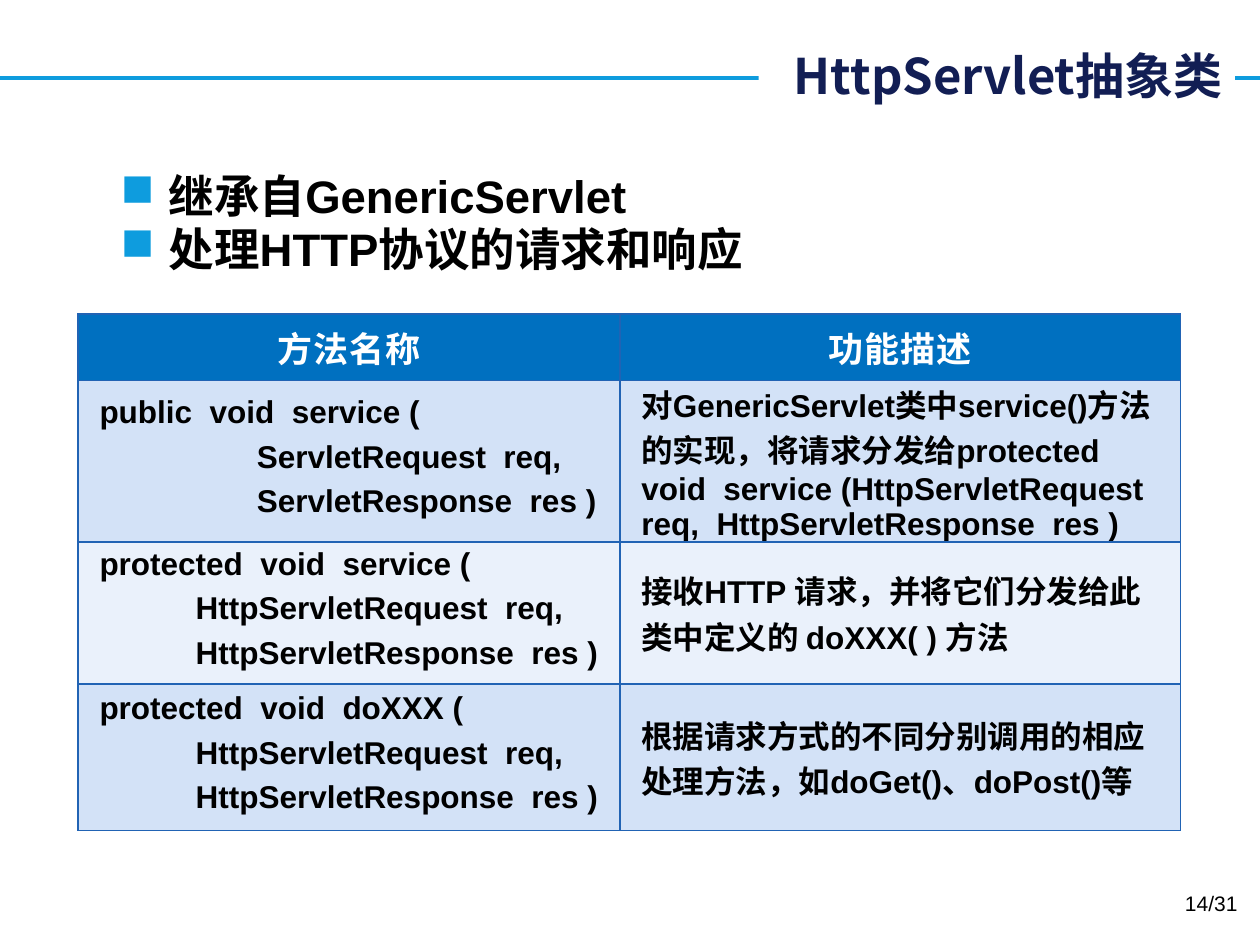
from pptx import Presentation
from pptx.dml.color import RGBColor
from pptx.enum.shapes import MSO_CONNECTOR, MSO_SHAPE
from pptx.enum.text import MSO_ANCHOR, PP_ALIGN
from pptx.oxml import parse_xml
from pptx.oxml.ns import nsdecls
from pptx.util import Inches, Pt

LINE = MSO_CONNECTOR.STRAIGHT
RECT = MSO_SHAPE.RECTANGLE
MIDDLE = MSO_ANCHOR.MIDDLE
LEFT, CENTER, RIGHT = PP_ALIGN.LEFT, PP_ALIGN.CENTER, PP_ALIGN.RIGHT

WHITE = RGBColor(0xFF, 0xFF, 0xFF)
BLACK = RGBColor(0x00, 0x00, 0x00)
NAVY = RGBColor(0x12, 0x1E, 0x54)
SKY = RGBColor(0x0E, 0x9C, 0xDE)
BLUE = RGBColor(0x00, 0x70, 0xC0)
EDGE = RGBColor(0x21, 0x63, 0xB4)
BANDS = RGBColor(0xD3, 0xE2, 0xF7), RGBColor(0xEA, 0xF1, 0xFB)

SANS = "Arial"
HAN = "Noto Sans CJK SC"

POINTS = ["继承自GenericServlet", "处理HTTP协议的请求和响应"]
HEADS = ["方法名称", "功能描述"]
METHODS = [
    (["public  void  service (",
      "                  ServletRequest  req,",
      "                  ServletResponse  res )"],
     "对GenericServlet类中service()方法的实现，将请求分发给protected  void  "
     "service (HttpServletRequest  req,  HttpServletResponse  res )"),
    (["protected  void  service (",
      "           HttpServletRequest  req,",
      "           HttpServletResponse  res )"],
     "接收HTTP 请求，并将它们分发给此类中定义的 doXXX( ) 方法"),
    (["protected  void  doXXX (",
      "           HttpServletRequest  req,",
      "           HttpServletResponse  res )"],
     "根据请求方式的不同分别调用的相应处理方法，如doGet()、doPost()等"),
]


def add_run(para, text, size, color, name=SANS, bold=True, track=0):
    """Add one run with Latin and East Asian fonts."""
    run = para.add_run()
    run.text = text
    font = run.font
    font.size, font.bold, font.name = Pt(size), bold, name
    font.color.rgb = color
    props = run._r.get_or_add_rPr()
    props.append(parse_xml(f'<a:ea {nsdecls("a")} typeface="{HAN}"/>'))
    if track:
        props.set("spc", str(track))


def get_para(frame, index):
    """Return the first paragraph or add a further one."""
    return frame.add_paragraph() if index else frame.paragraphs[0]


def add_title(slide, x, y, w, h):
    """Draw the rule across the slide and the title over it."""
    mid = Inches(0.62)
    rule = slide.shapes.add_connector(LINE, 0, mid, Inches(10), mid)
    rule.line.color.rgb = SKY
    rule.line.width = Pt(2.25)
    rule._element.spPr.append(parse_xml(f'<a:effectLst {nsdecls("a")}/>'))
    box = slide.shapes.add_shape(RECT, x, y, w, h)
    box.shadow.inherit = False
    box.fill.solid()
    box.fill.fore_color.rgb = WHITE
    box.line.fill.background()
    frame = box.text_frame
    frame.word_wrap = True
    frame.vertical_anchor = MIDDLE
    para = frame.paragraphs[0]
    para.alignment = RIGHT
    add_run(para, "HttpServlet抽象类", 28, NAVY, HAN)


def add_points(slide, x, y, w, h):
    """Write the bulleted points."""
    frame = slide.shapes.add_textbox(x, y, w, h).text_frame
    frame.word_wrap = True
    hang = Inches(0.38)
    for index, text in enumerate(POINTS):
        para = get_para(frame, index)
        props = para._p.get_or_add_pPr()
        props.set("marL", str(hang))
        props.set("indent", str(-hang))
        for part in (f'<a:buClr {nsdecls("a")}><a:srgbClr val="{SKY}"/></a:buClr>',
                     f'<a:buChar {nsdecls("a")} char="■"/>'):
            props.append(parse_xml(part))
        para.line_spacing = 0.9
        if index:
            para.space_before = Pt(2.7)
        add_run(para, text, 26, BLACK)


def style_cell(cell, color, side, top):
    """Set the borders, fill, margins and anchor of a cell."""
    props = cell._tc.get_or_add_tcPr()
    for tag in ("lnL", "lnR", "lnT", "lnB"):
        props.append(parse_xml(
            f'<a:{tag} {nsdecls("a")} w="{Pt(1)}"><a:solidFill>'
            f'<a:srgbClr val="{EDGE}"/></a:solidFill></a:{tag}>'))
    cell.fill.solid()
    cell.fill.fore_color.rgb = color
    cell.margin_left = cell.margin_right = Inches(side)
    cell.margin_top = cell.margin_bottom = Inches(top)
    cell.vertical_anchor = MIDDLE


def fill_cell(cell, lines, pitch=None):
    """Write the lines of a body cell."""
    for index, text in enumerate(lines):
        para = get_para(cell.text_frame, index)
        para._p.get_or_add_pPr().set("marL", str(Inches(0.1)))
        para.alignment = LEFT
        if pitch:
            para.line_spacing = Pt(pitch)
        if index:
            para.space_before = Pt(10)
        add_run(para, text, 18, BLACK)


def add_grid(slide, x, y, w, h):
    """Build the table of methods."""
    grid = slide.shapes.add_table(len(METHODS) + 1, len(HEADS), x, y, w, h).table
    for col, width in zip(grid.columns, (4.3, 4.45)):
        col.width = Inches(width)
    for row, height in zip(grid.rows, (0.53, 1.28, 1.13, 1.16)):
        row.height = Inches(height)
    for col, text in enumerate(HEADS):
        cell = grid.cell(0, col)
        style_cell(cell, BLUE, 0.09, 0.05)
        para = cell.text_frame.paragraphs[0]
        para.alignment = CENTER
        add_run(para, text, 20, WHITE, HAN, track=60)
    for row, (code, note) in enumerate(METHODS, 1):
        for col in range(len(HEADS)):
            style_cell(grid.cell(row, col), BANDS[(row - 1) % 2], 0.07, 0)
        fill_cell(grid.cell(row, 0), code, 15.6)
        fill_cell(grid.cell(row, 1), [note])


def add_page(slide, x, y, w, h):
    """Write the page number."""
    frame = slide.shapes.add_textbox(x, y, w, h).text_frame
    frame.word_wrap = True
    para = frame.paragraphs[0]
    para.alignment = RIGHT
    add_run(para, "14/31", 12, BLACK, bold=False)


def main():
    """Build and save the slide."""
    deck = Presentation()
    deck.slide_width, deck.slide_height = Inches(10), Inches(7.5)
    slide = deck.slides.add_slide(deck.slide_layouts[6])
    add_title(slide, Inches(6.02), Inches(0.31), Inches(3.78), Inches(0.57))
    add_points(slide, Inches(0.86), Inches(1.33), Inches(8.36), Inches(5.62))
    add_grid(slide, Inches(0.62), Inches(2.49), Inches(8.75), Inches(4.1))
    add_page(slide, Inches(7.59), Inches(7.02), Inches(2.33), Inches(0.4))
    deck.save("out.pptx")


if __name__ == "__main__":
    main()
